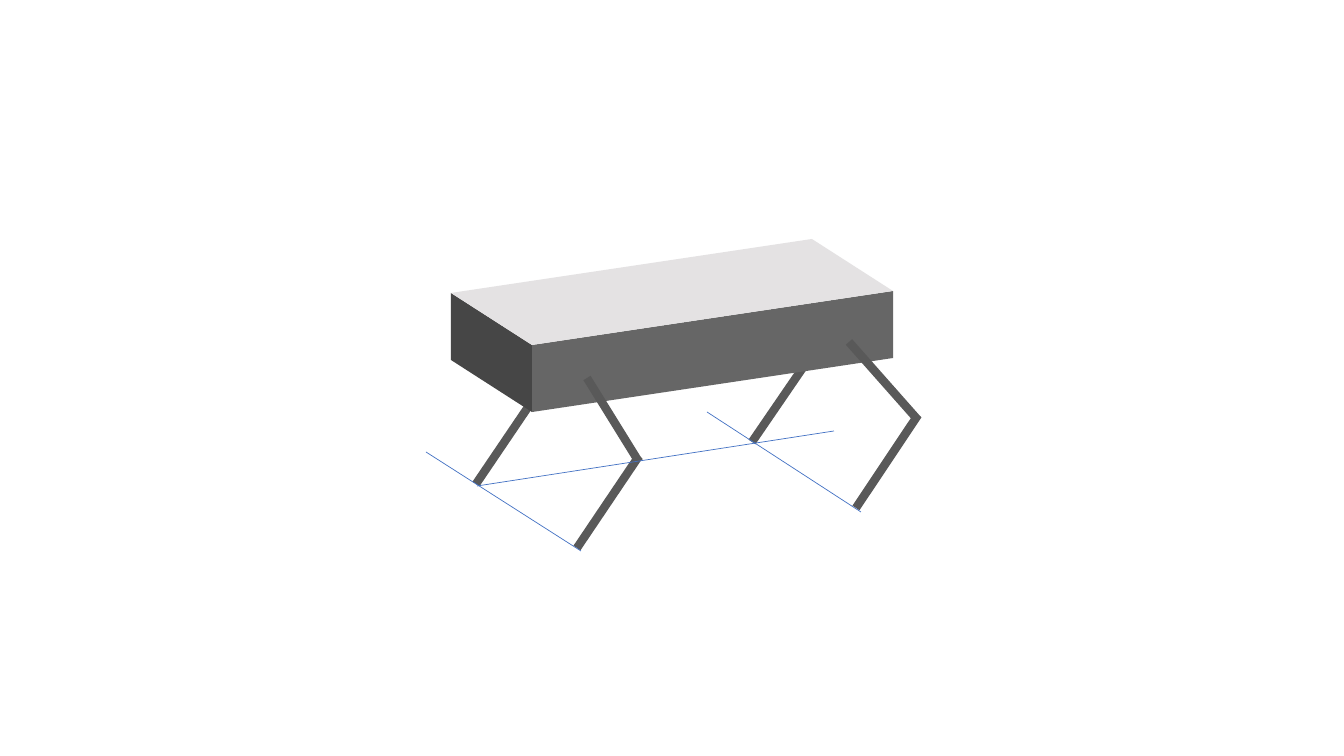
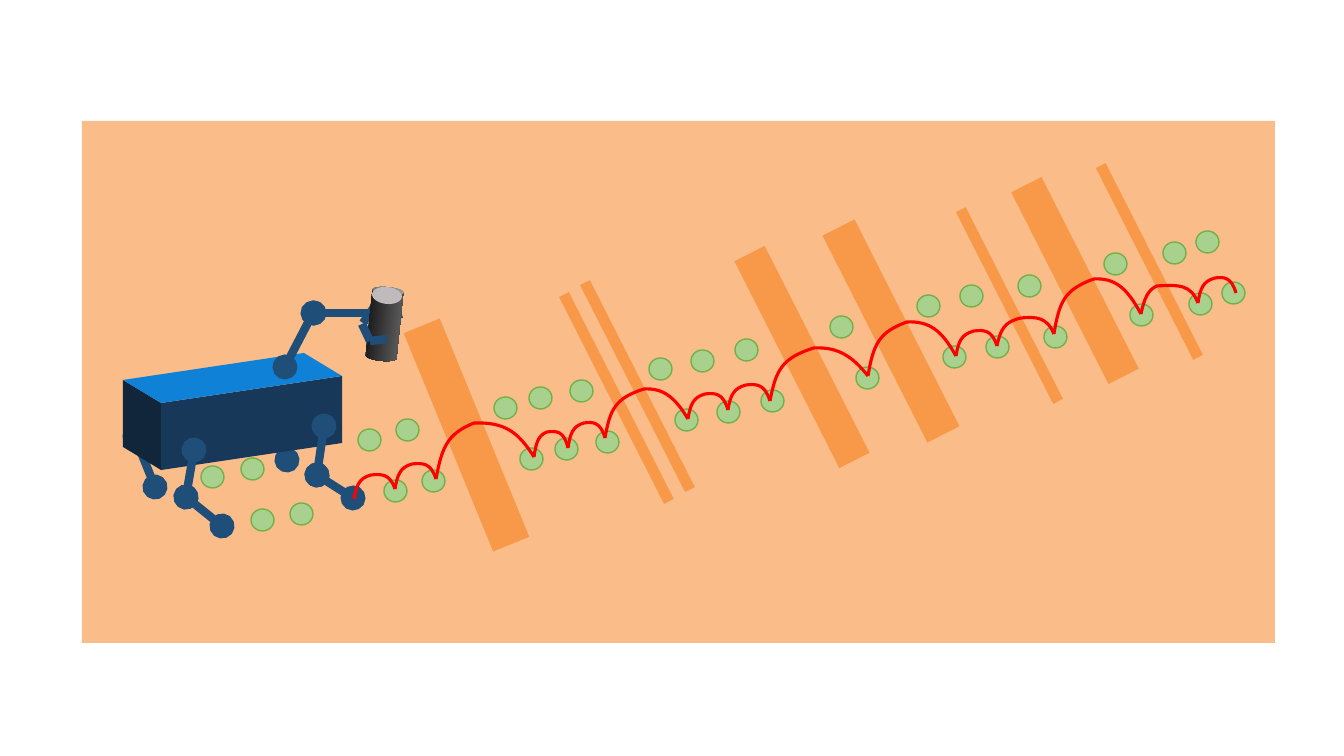
from itertools import pairwise
from lxml.etree import SubElement
from pptx import Presentation
from pptx.dml.color import RGBColor
from pptx.enum.shapes import MSO_CONNECTOR as LINK, MSO_SHAPE as SHAPE
from pptx.oxml.ns import qn
from pptx.util import Pt

PAGE = (1344, 756)
EMU_PER_PX = 12192000 / 1344

LEG = {"color": "595959", "width": 6}
GROUND = {"color": "4472C4", "width": 0.5}
LIMB = {"color": "1F4E79", "width": 6}
RIM = {"color": "73AF4B", "width": 1}
TRAIL = {"color": "FF0000", "width": 2.25}
BOTH_JOINTS = ("headEnd", "tailEnd")
FAR_JOINT = ("tailEnd",)

WALKER = {
    "far_legs": [[(815, 350), (752, 442)], [(539, 391), (476, 484)]],
    "body": {"corner": (532, 345), "depth": (-81, -52), "length": (361, -54),
             "height": 67, "colors": ("464646", "666666", "E4E2E3")},
    "near_legs": [
        [(587, 378), (639, 462)], [(639, 456), (577, 548)],
        [(849, 342), (918, 420)], [(918, 415), (856, 508)],
    ],
    "ground": [
        [(426, 452), (581, 551)], [(707, 412), (861, 512)],
        [(477, 486), (834, 431)],
    ],
}

ROBOT = {
    "far_legs": [[(135, 437), (155, 487)], [(266, 431), (287, 460)]],
    "body": {"corner": (161, 403), "depth": (-38, -23), "length": (181, -27),
             "height": 67, "colors": ("12263B", "18385A", "0F82D7")},
    "near_legs": [
        [(324, 426), (317, 475), (353, 498)],
        [(194, 450), (186, 497), (222, 526)],
    ],
    "far_fingers": [
        [(377, 303), (363, 323)], [(399, 319), (394, 303), (379, 303)],
    ],
    "upper_arm": [(313, 313), (285, 367)],
    "forearm": [(368, 313), (314, 313)],
    "near_fingers": [(387, 339), (370, 341), (362, 324)],
}

FLOOR = (82, 121, 1193, 522)
PLANK_TILT = 333.1
PLANKS = [
    (447, 317, 39, 236, 337.7), (611, 282, 11, 232, PLANK_TILT),
    (785, 241, 34, 232, PLANK_TILT), (873, 215, 36, 232, PLANK_TILT),
    (1058, 173, 34, 215, PLANK_TILT), (632, 270, 11, 232, PLANK_TILT),
    (1144, 154, 11, 215, PLANK_TILT), (1004, 198, 11, 215, PLANK_TILT),
]

FOOTHOLD_SIZE = (23, 22)
ROW_SHIFT = (-26, -51)
PASSED_FOOTHOLDS = [(251, 509), (290, 503), (201, 466), (241, 458)]
NEAR_FOOTHOLDS = [
    (384, 480), (422, 470), (520, 448), (555, 438), (596, 431),
    (675, 409), (717, 401), (761, 390), (856, 367), (943, 346),
    (986, 336), (1044, 326), (1130, 304), (1189, 293), (1222, 282),
]

STEP = [(0.06, 0.42), (0.13, 0.13), (0.68, -0.05), (0.88, -0.04)]
LEAP = [(0.06, 0.42), (0.12, 0.19), (0.7, -0.02), (0.84, 0.16)]
TRAIL_START = (354, 499)
HOPS = [
    (STEP, (371, 475), (395, 489)), (STEP, (412, 464), (436, 479)),
    (LEAP, (474, 423), (534, 457)), (STEP, (547, 432), (568, 448)),
    (STEP, (584, 423), (605, 438)), (LEAP, (644, 389), (688, 419)),
    (STEP, (705, 394), (728, 410)), (STEP, (746, 385), (770, 401)),
    (LEAP, (814, 348), (868, 376)), (LEAP, (907, 322), (956, 356)),
    (STEP, (974, 331), (997, 346)), (STEP, (1021, 318), (1054, 334)),
    (LEAP, (1094, 279), (1141, 314)), (STEP, (1157, 286), (1198, 303)),
    (STEP, (1215, 278), (1236, 293)),
]

CYLINDER = (369, 287, 31, 74)
CYLINDER_TOP = (372, 287, 30, 17)
CYLINDER_TILT = 5.9
CYLINDER_SHADE = ("111111", "666666")


def px(*lengths):
    return [round(length * EMU_PER_PX) for length in lengths]


def rgb(color):
    return RGBColor.from_string(color)


def style_line(line, color, width):
    line.color.rgb = rgb(color)
    line.width = Pt(width)


def style(shape, fill=None, outline=None, **settings):
    shape.shadow.inherit = False
    if fill:
        shape.fill.solid()
        shape.fill.fore_color.rgb = rgb(fill)
    else:
        shape.fill.background()
    if outline:
        style_line(shape.line, **outline)
    else:
        shape.line.fill.background()
    for name, value in settings.items():
        setattr(shape, name, value)
    return shape


def add_preset(shapes, kind, box, **look):
    return style(shapes.add_shape(kind, *px(*box)), **look)


def add_limb(shapes, joints, look, ovals=()):
    for start, end in pairwise(joints):
        link = shapes.add_connector(LINK.STRAIGHT, *px(*start, *end))
        style_line(link.line, **look)
        properties = link.element.spPr
        for end_tag in ovals:
            SubElement(properties.find(qn("a:ln")), qn(f"a:{end_tag}"), type="oval")
        SubElement(properties, qn("a:effectLst"))


def add_outline(shapes, points, closed, **look):
    first, *rest = [px(*point) for point in points]
    builder = shapes.build_freeform(*first)
    builder.add_line_segments(rest, close=closed)
    return style(builder.convert_to_shape(), **look)


def shifted(point, *offsets):
    return tuple(map(sum, zip(point, *offsets)))


def add_body(shapes, corner, depth, length, height, colors):
    drop = (0, height)
    for (across, along), color in zip(
            [(depth, drop), (length, drop), (depth, length)], colors):
        face = [corner, shifted(corner, across),
                shifted(corner, across, along), shifted(corner, along)]
        add_outline(shapes, face, True, fill=color)


def add_hop(shapes, start, profile, apex, landing):
    span, rise = landing[0] - start[0], start[1] - apex[1]
    pulls = [(start[0] + x * span, apex[1] + y * rise) for x, y in profile]
    hop = add_outline(shapes, [start, *pulls[:2], apex, *pulls[2:], landing],
                      False, outline=TRAIL)
    track = next(hop.element.iter(qn("a:path")))
    corners = track.findall(qn("a:lnTo"))
    for first in (0, 3):
        curve = SubElement(track, qn("a:cubicBezTo"))
        for corner in corners[first:first + 3]:
            curve.append(corner[0])
            track.remove(corner)


def draw_walker(shapes):
    for leg in WALKER["far_legs"]:
        add_limb(shapes, leg, LEG)
    add_body(shapes, **WALKER["body"])
    for part, look in (("near_legs", LEG), ("ground", GROUND)):
        for joints in WALKER[part]:
            add_limb(shapes, joints, look)


def draw_robot_route(shapes):
    add_preset(shapes, SHAPE.RECTANGLE, FLOOR, fill="FABD8A")
    for leg in ROBOT["far_legs"]:
        add_limb(shapes, leg, LIMB, BOTH_JOINTS)
    add_body(shapes, **ROBOT["body"])
    for leg in ROBOT["near_legs"]:
        add_limb(shapes, leg, LIMB, BOTH_JOINTS)

    for *box, tilt in PLANKS:
        add_preset(shapes, SHAPE.RECTANGLE, box, fill="F8994A", rotation=tilt)

    far_footholds = [shifted(spot, ROW_SHIFT) for spot in NEAR_FOOTHOLDS]
    for spot in PASSED_FOOTHOLDS + NEAR_FOOTHOLDS + far_footholds:
        add_preset(shapes, SHAPE.OVAL, spot + FOOTHOLD_SIZE,
                   fill="A9D18E", outline=RIM)

    start = TRAIL_START
    for profile, apex, landing in HOPS:
        add_hop(shapes, start, profile, apex, landing)
        start = landing

    for finger in ROBOT["far_fingers"]:
        add_limb(shapes, finger, LIMB)
    cylinder = add_preset(shapes, SHAPE.CAN, CYLINDER, rotation=CYLINDER_TILT)
    cylinder.fill.gradient()
    cylinder.fill.gradient_angle = 0
    for stop, color in zip(cylinder.fill.gradient_stops, CYLINDER_SHADE):
        stop.color.rgb = rgb(color)
    add_preset(shapes, SHAPE.OVAL, CYLINDER_TOP, fill="BFBBBC",
               rotation=CYLINDER_TILT)
    add_limb(shapes, ROBOT["upper_arm"], LIMB, BOTH_JOINTS)
    add_limb(shapes, ROBOT["forearm"], LIMB, FAR_JOINT)
    add_limb(shapes, ROBOT["near_fingers"], LIMB)


deck = Presentation()
deck.slide_width, deck.slide_height = px(*PAGE)
blank = deck.slide_layouts[6]
draw_walker(deck.slides.add_slide(blank).shapes)
draw_robot_route(deck.slides.add_slide(blank).shapes.add_group_shape().shapes)
deck.save("out.pptx")
